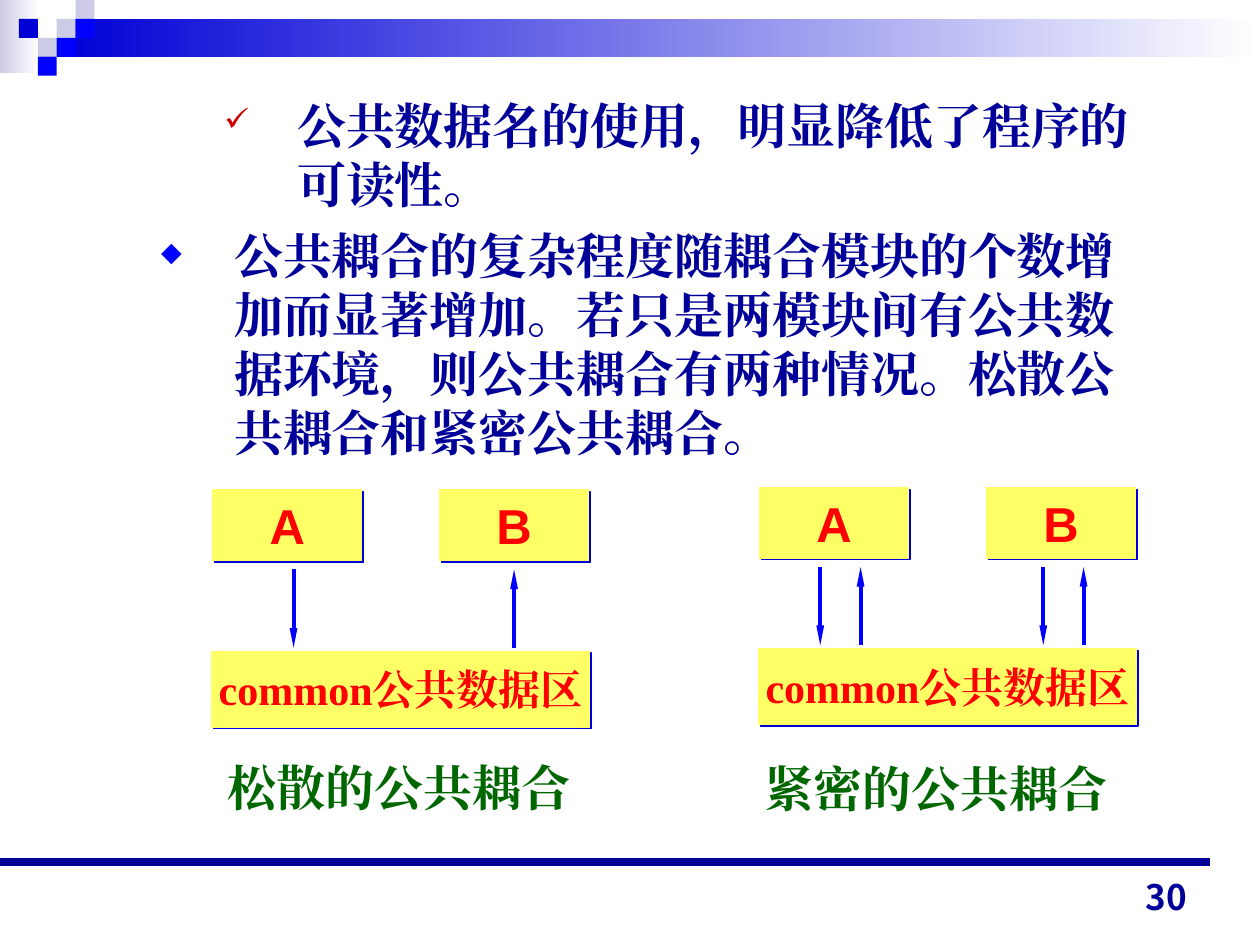
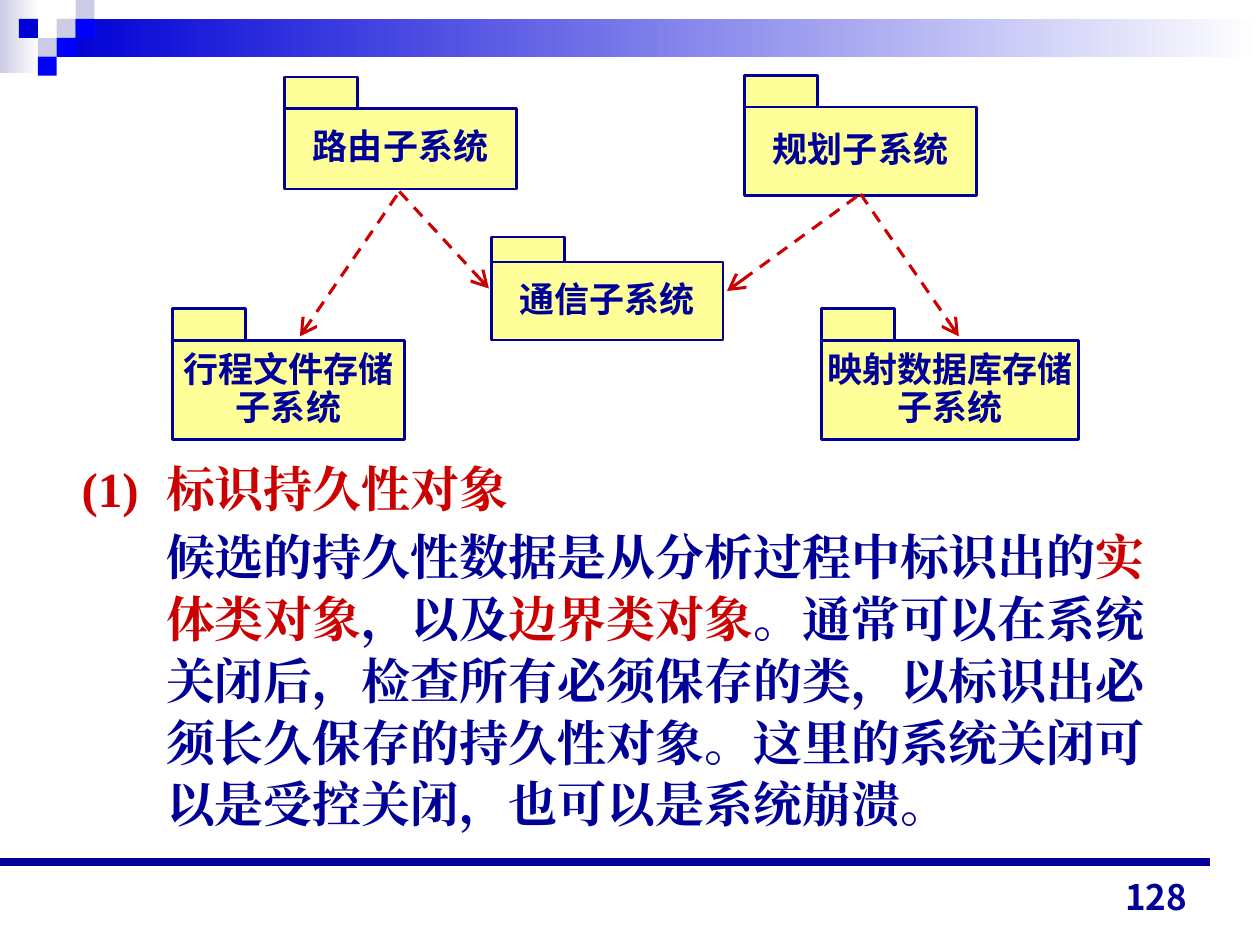
"""Build two lecture slides on common coupling and persistent objects."""
from dataclasses import dataclass

from lxml.etree import SubElement
from pptx import Presentation
from pptx.dml.color import RGBColor as Rgb
from pptx.enum.dml import MSO_LINE
from pptx.enum.shapes import MSO_CONNECTOR, MSO_SHAPE
from pptx.enum.text import MSO_ANCHOR as Anchor, PP_ALIGN as Align
from pptx.oxml.ns import qn
from pptx.util import Inches, Pt


@dataclass(frozen=True)
class Theme:
    navy: str = "000099"
    royal: str = "0000D6"
    blue: str = "0000FF"
    pale: str = "CCCCE6"
    white: str = "FFFFFF"
    crimson: str = "CC0000"
    red: str = "FF0000"
    green: str = "006600"
    module_fill: str = "FFFF66"
    package_fill: str = "FFFF99"
    serif: str = "Times New Roman"
    sans: str = "Arial"
    number_font: str = "Noto Sans CJK JP"
    body: int = 28
    area: int = 24
    label: int = 20


THEME = Theme()
WIDTH, HEIGHT = 10, 7.5
CELL = 0.15

CHECKERS = [(3, 1, THEME.pale), (4, 0, THEME.pale), (4, 1, THEME.blue),
            (2, 2, THEME.pale), (1, 1, THEME.royal), (3, 2, THEME.blue),
            (2, 3, THEME.blue)]

COUPLING_POINTS = [
    (1.58, "✓", THEME.crimson, 65, "公共数据名的使用，明显降低了程序的可读性。"),
    (1.08, "◆", THEME.blue, 55,
     "公共耦合的复杂程度随耦合模块的个数增加而显著增加。若只是两模块间有公共数据环境，"
     "则公共耦合有两种情况。松散公共耦合和紧密公共耦合。"),
]

COUPLINGS = [
    {"at": (1.68, 3.89), "caption": "松散的公共耦合", "caption_at": (1.71, 5.96),
     "arrows": [(0.65, "down"), (2.4, "up")]},
    {"at": (6.02, 3.87), "caption": "紧密的公共耦合", "caption_at": (5.97, 5.97),
     "arrows": [(0.49, "down"), (0.81, "up"), (2.26, "down"), (2.58, "up")]},
]

PACKAGES = [
    (1.37, 2.45, 1.84, 0.25, 0.79, ["行程文件存储", "子系统"]),
    (3.9, 1.88, 1.84, 0.2, 0.62, ["通信子系统"]),
    (6.52, 2.45, 2.04, 0.25, 0.79, ["映射数据库存储", "子系统"]),
    (2.26, 0.61, 1.84, 0.25, 0.64, ["路由子系统"]),
    (5.91, 0.6, 1.84, 0.25, 0.7, ["规划子系统"]),
]
DEPENDENCIES = [((3.15, 1.55), (2.38, 2.67)), ((3.17, 1.52), (3.88, 2.29)),
                ((6.8, 1.56), (5.77, 2.31)), ((6.83, 1.54), (7.61, 2.67))]

PERSISTENCE = [
    (-0.67, [("(1)\t标识持久性对象", THEME.crimson)]),
    (0, [("候选的持久性数据是从分析过程中标识出的", THEME.navy),
         ("实体类对象", THEME.crimson), ("，以及", THEME.navy),
         ("边界类对象", THEME.crimson),
         ("。通常可以在系统关闭后，检查所有必须保存的类，以标识出必须长久保存的持久性对象。"
          "这里的系统关闭可以是受控关闭，也可以是系统崩溃。", THEME.navy)]),
]


def rgb(color):
    return Rgb.from_string(color)


def set_font(para, size, color, name):
    font = para.font
    font.size, font.bold, font.name = Pt(size), True, name
    font.color.rgb = rgb(color)
    SubElement(para._p.pPr.find(qn("a:defRPr")), qn("a:ea"), typeface=name)


def set_indent(para, margin, first):
    props = para._p.get_or_add_pPr()
    props.set("marL", str(Inches(margin)))
    props.set("indent", str(Inches(first)))
    return props


def add_box(slide, left, top, width, height, fill, line=None, weight=0.75):
    box = slide.shapes.add_shape(MSO_SHAPE.RECTANGLE, *map(Inches, (left, top, width, height)))
    box.shadow.inherit = False
    if isinstance(fill, tuple):
        box.fill.gradient()
        box.fill.gradient_angle = 0
        for stop, color in zip(box.fill.gradient_stops, fill):
            stop.color.rgb = rgb(color)
    else:
        box.fill.solid()
        box.fill.fore_color.rgb = rgb(fill)
    if line:
        box.line.color.rgb = rgb(line)
        box.line.width = Pt(weight)
    else:
        box.line.fill.background()
    return box


def add_label(box, lines, size, color, name, spacing=1.0):
    frame = box.text_frame
    frame.word_wrap = False
    frame.vertical_anchor = Anchor.MIDDLE
    frame.margin_left = frame.margin_right = frame.margin_top = frame.margin_bottom = 0
    for index, line in enumerate(lines):
        para = frame.add_paragraph() if index else frame.paragraphs[0]
        para.add_run().text = line
        para.alignment = Align.CENTER
        para.line_spacing = spacing
        set_font(para, size, color, name)


def add_text(slide, left, top, width, height):
    frame = slide.shapes.add_textbox(*map(Inches, (left, top, width, height))).text_frame
    frame.word_wrap = True
    return frame


def add_line(slide, start, end, color, weight, head=None, head_width="lg"):
    line = slide.shapes.add_connector(MSO_CONNECTOR.STRAIGHT, *map(Inches, (*start, *end)))
    line.line.color.rgb = rgb(color)
    line.line.width = Pt(weight)
    if head == "arrow":
        line.line.dash_style = MSO_LINE.DASH
    if head:
        SubElement(line.line._get_or_add_ln(), qn("a:tailEnd"),
                   type=head, w=head_width, len="lg")
    SubElement(line._element.spPr, qn("a:effectLst"))


def add_page(deck, number):
    page = deck.slides.add_slide(deck.slide_layouts[6])
    add_box(page, 0, 0, 0.31, 0.58, (THEME.pale, THEME.white))
    add_box(page, 3 * CELL, CELL, WIDTH - 3 * CELL, 2 * CELL, (THEME.royal, THEME.white))
    for column, row, color in CHECKERS:
        add_box(page, column * CELL, row * CELL, CELL, CELL, color)
    add_line(page, (0, 6.84), (0.96 * WIDTH, 6.84), THEME.navy, 4.5)
    frame = add_text(page, 7.19, 6.83, 2.33, 0.5)
    frame.vertical_anchor = Anchor.BOTTOM
    para = frame.paragraphs[0]
    para.add_run().text = str(number)
    para.alignment = Align.RIGHT
    set_font(para, THEME.label, THEME.navy, THEME.number_font)
    return page


def add_module(page, left, top, width, height, text, size, name):
    box = add_box(page, left, top, width, height, THEME.module_fill, THEME.module_fill)
    shadow = SubElement(box._element.spPr.find(qn("a:effectLst")), qn("a:outerShdw"),
                        blurRad="0", dist=str(Pt(1.4)), dir="2700000",
                        algn="ctr", rotWithShape="0")
    SubElement(shadow, qn("a:srgbClr"), val=THEME.royal)
    add_label(box, [text], size, THEME.red, name)


def add_coupling(page, coupling):
    left, top = coupling["at"]
    for text, shift in (("A", 0.01), ("B", 1.81)):
        add_module(page, left + shift, top, 1.18, 0.56, text, THEME.body, THEME.sans)
    add_module(page, left, top + 1.28, 3, 0.6, "common公共数据区", THEME.area, THEME.serif)
    for shift, direction in coupling["arrows"]:
        ends = [(left + shift, top + 0.63), (left + shift, top + 1.25)]
        if direction == "up":
            ends.reverse()
        add_line(page, *ends, THEME.blue, 2.25, "triangle", "sm")
    para = add_text(page, *coupling["caption_at"], 3.06, 0.57).paragraphs[0]
    para.add_run().text = coupling["caption"]
    set_font(para, THEME.body, THEME.green, THEME.serif)


def build_coupling_page(deck):
    page = add_page(deck, 30)
    frame = add_text(page, 0.68, 0.71, 8.5, 3.1)
    for index, (margin, mark, color, percent, text) in enumerate(COUPLING_POINTS):
        para = frame.add_paragraph() if index else frame.paragraphs[0]
        para.add_run().text = text
        if index:
            para.space_before = Pt(7)
        props = set_indent(para, margin, -0.58)
        SubElement(SubElement(props, qn("a:buClr")), qn("a:srgbClr"), val=color)
        SubElement(props, qn("a:buSzPct"), val=str(percent * 1000))
        SubElement(props, qn("a:buChar"), char=mark)
        set_font(para, THEME.body, THEME.navy, THEME.serif)
    for coupling in COUPLINGS:
        add_coupling(page, coupling)


def build_persistence_page(deck):
    page = add_page(deck, 128)
    frame = add_text(page, 0.55, 3.57, 9, 3.31)
    for index, (first, spans) in enumerate(PERSISTENCE):
        para = frame.add_paragraph() if index else frame.paragraphs[0]
        set_indent(para, 0.67, first)
        para.line_spacing = 1.05
        if index:
            para.space_before = Pt(3.5)
        set_font(para, THEME.body, THEME.navy, THEME.serif)
        for text, color in spans:
            span = para.add_run()
            span.text = text
            span.font.color.rgb = rgb(color)
    for left, top, width, tab, height, lines in PACKAGES:
        add_box(page, left, top, 0.58, tab, THEME.package_fill, THEME.navy, 1.5)
        box = add_box(page, left, top + tab, width, height, THEME.package_fill, THEME.navy, 1.5)
        add_label(box, lines, THEME.label, THEME.navy, THEME.sans, 0.9)
    for start, end in DEPENDENCIES:
        add_line(page, start, end, THEME.crimson, 1.75, "arrow")


def main():
    deck = Presentation()
    deck.slide_width, deck.slide_height = Inches(WIDTH), Inches(HEIGHT)
    build_coupling_page(deck)
    build_persistence_page(deck)
    deck.save("out.pptx")


if __name__ == "__main__":
    main()
